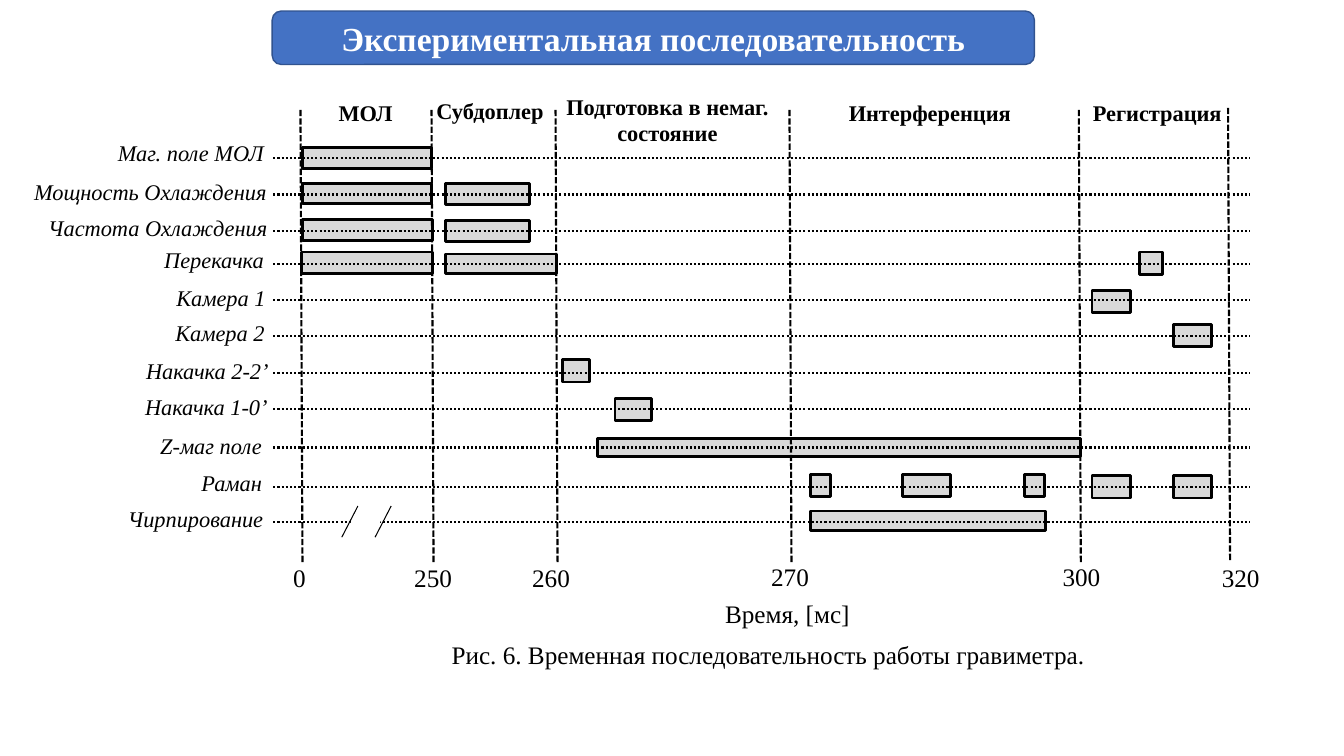
"""Build the slide with the timing diagram of the gravimeter sequence."""
import pptx
import pptx.dml.color
import pptx.enum.dml
import pptx.enum.shapes
import pptx.enum.text
import pptx.oxml.ns
import pptx.util
from lxml import etree

PX = 9144
FONT = "Times New Roman"
COLORS = {"ink": "000000", "bar": "D9D9D9", "paper": "FFFFFF", "title": "4472C4", "title_line": "31538F"}
SHAPES = pptx.enum.shapes.MSO_SHAPE
ALIGN = pptx.enum.text.PP_ALIGN
DASHES = pptx.enum.dml.MSO_LINE

presentation = pptx.Presentation()
presentation.slide_width = 1333 * PX
presentation.slide_height = 750 * PX
slide = presentation.slides.add_slide(presentation.slide_layouts[6])


def add_text(text, left, top, width, height, size, bold=False, italic=False, align=ALIGN.LEFT):
    box = slide.shapes.add_textbox(left * PX, top * PX, width * PX, height * PX)
    box.text_frame.word_wrap = True
    box.text_frame.auto_size = pptx.enum.text.MSO_AUTO_SIZE.SHAPE_TO_FIT_TEXT
    box.text_frame.text = text
    paragraph = box.text_frame.paragraphs[0]
    paragraph.alignment = align
    font = paragraph.runs[0].font
    font.name, font.size, font.bold, font.italic = FONT, pptx.util.Pt(size), bold, italic
    font.color.rgb = pptx.dml.color.RGBColor.from_string(COLORS["ink"])


def add_line(x1, y1, x2, y2, width, dash=None):
    connector = slide.shapes.add_connector(
        pptx.enum.shapes.MSO_CONNECTOR.STRAIGHT, x1 * PX, y1 * PX, x2 * PX, y2 * PX)
    connector.line.color.rgb = pptx.dml.color.RGBColor.from_string(COLORS["ink"])
    connector.line.width = pptx.util.Pt(width)
    if dash is not None:
        connector.line.dash_style = dash
    etree.SubElement(connector._element.spPr, pptx.oxml.ns.qn("a:effectLst"))


channels = [
    ("Маг. поле МОЛ", 107, 133, 157, [(300, 146, 128, 21)]),
    ("Мощность Охлаждения", 24, 172, 193, [(300, 182, 128, 20), (442, 182, 83, 21)]),
    ("Частота Охлаждения", 38, 208, 229, [(300, 218, 129, 21), (442, 219, 83, 21)]),
    ("Перекачка", 153, 239, 262, [(299, 250, 130, 21), (442, 252, 110, 19), (1130, 250, 23, 22)]),
    ("Камера 1", 165, 277, 298, [(1083, 288, 38, 22)]),
    ("Камера 2", 164, 312, 333, [(1164, 322, 38, 22)]),
    ("Накачка 2-2’", 135, 349, 370, [(558, 357, 27, 22)]),
    ("Накачка 1-0’", 134, 385, 406, [(610, 395, 36, 22)]),
    ("Z-маг поле", 149, 424, 444, [(593, 435, 479, 18)]),
    ("Раман", 190, 461, 483, [(804, 471, 20, 22), (895, 471, 48, 22), (1016, 471, 20, 22),
                             (1083, 472, 38, 22), (1164, 472, 38, 22)]),
    ("Чирпирование", 117, 496, 518, [(804, 507, 233, 19)]),
]
for label, label_left, label_top, axis_y, bars in channels:
    for left, top, width, height in bars:
        bar = slide.shapes.add_shape(SHAPES.RECTANGLE, left * PX, top * PX, width * PX, height * PX)
        bar.shadow.inherit = False
        bar.fill.solid()
        bar.fill.fore_color.rgb = pptx.dml.color.RGBColor.from_string(COLORS["bar"])
        bar.line.color.rgb = pptx.dml.color.RGBColor.from_string(COLORS["ink"])
        bar.line.width = pptx.util.Pt(2)
    add_line(271, axis_y, 1240, axis_y, 1.5, DASHES.ROUND_DOT)
    add_text(label, label_left, label_top, 258, 37, 16, italic=True)

moments = [
    ("0", 298, 109, 281, 553),
    ("250", 428, 109, 401, 553),
    ("260", 551, 109, 518, 553),
    ("270", 783, 109, 755, 552),
    ("300", 1070, 109, 1044, 552),
    ("320", 1218, 107, 1202, 553),
]
for label, x, top, label_left, label_top in moments:
    add_line(x, top, x + 2, top + 449, 1.5, DASHES.SQUARE_DOT)
    add_text(label, label_left, label_top, 80, 40, 18)

stages = [
    ("МОЛ", 326, 93, 194, 37, ALIGN.LEFT),
    ("Субдоплер", 423, 91, 194, 37, ALIGN.LEFT),
    ("Подготовка в немаг. состояние", 541, 87, 242, 64, ALIGN.CENTER),
    ("Интерференция", 832, 93, 194, 37, ALIGN.LEFT),
    ("Регистрация", 1074, 93, 194, 37, ALIGN.LEFT),
]
for label, left, top, width, height, align in stages:
    add_text(label, left, top, width, height, 16, bold=True, align=align)

add_text("Время, [мс]", 333, 589, 896, 40, 18, align=ALIGN.CENTER)
add_text("Рис. 6. Временная последовательность работы гравиметра.", 314, 629, 896, 40, 18, align=ALIGN.CENTER)

for slash_left in (339, 372):
    add_line(slash_left + 16, 502, slash_left, 533, 0.75)
axis_gap = slide.shapes.add_shape(SHAPES.RECTANGLE, 350 * PX, 499 * PX, 26 * PX, 37 * PX)
axis_gap.rotation = 25.6
axis_gap.shadow.inherit = False
axis_gap.fill.solid()
axis_gap.fill.fore_color.rgb = pptx.dml.color.RGBColor.from_string(COLORS["paper"])
axis_gap.line.fill.background()

title = slide.shapes.add_shape(SHAPES.ROUNDED_RECTANGLE, 270 * PX, 11 * PX, 756 * PX, 53 * PX)
title.shadow.inherit = False
title.fill.solid()
title.fill.fore_color.rgb = pptx.dml.color.RGBColor.from_string(COLORS["title"])
title.line.color.rgb = pptx.dml.color.RGBColor.from_string(COLORS["title_line"])
title.line.width = pptx.util.Pt(1)
title.text_frame.text = "Экспериментальная последовательность"
title.text_frame.vertical_anchor = pptx.enum.text.MSO_ANCHOR.MIDDLE
title_paragraph = title.text_frame.paragraphs[0]
title_paragraph.alignment = ALIGN.CENTER
title_font = title_paragraph.runs[0].font
title_font.name, title_font.size, title_font.bold = FONT, pptx.util.Pt(24), True
title_font.color.rgb = pptx.dml.color.RGBColor.from_string(COLORS["paper"])

presentation.save("out.pptx")
